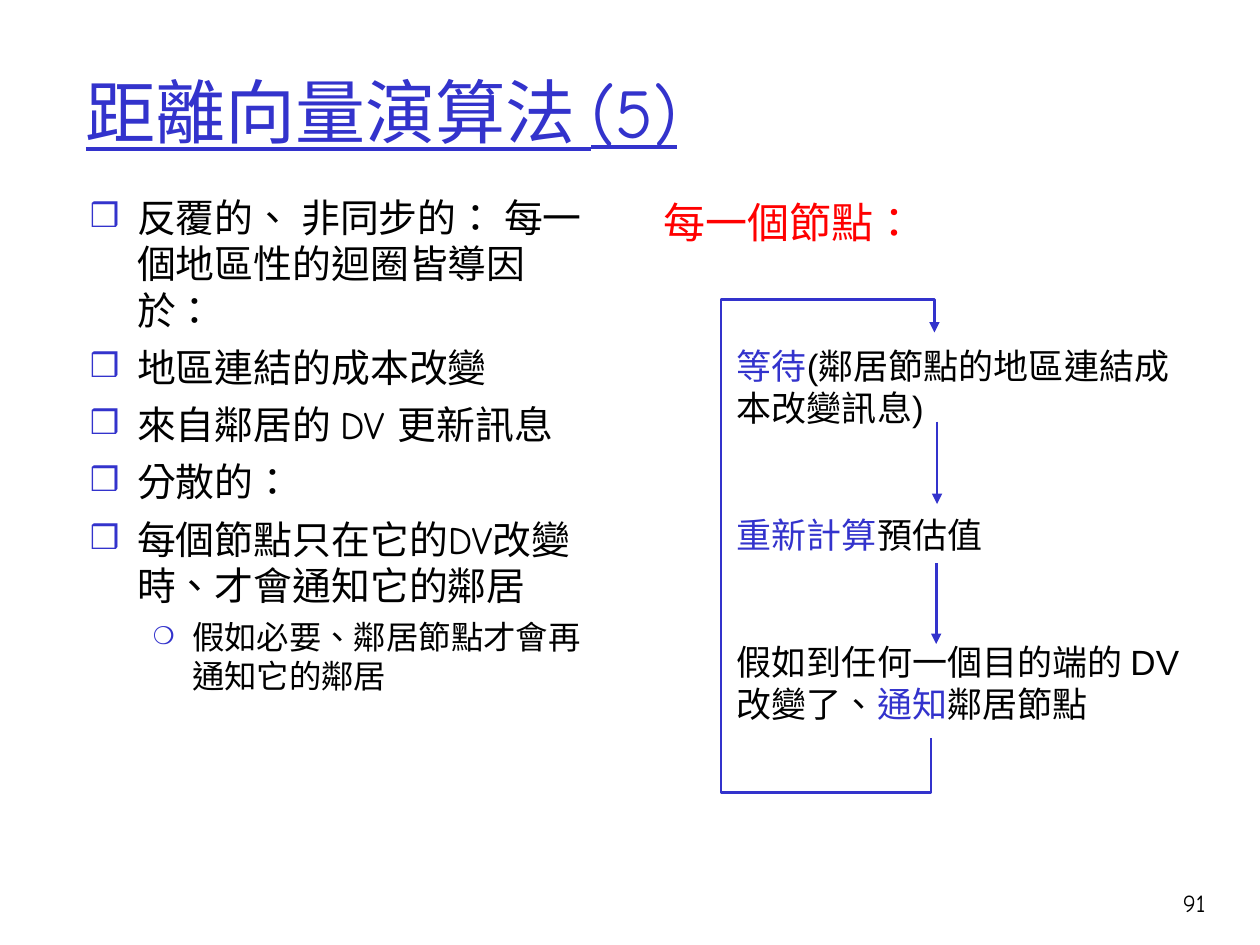
from lxml import etree
from pptx import Presentation
from pptx.dml.color import RGBColor
from pptx.enum.lang import MSO_LANGUAGE_ID
from pptx.enum.shapes import MSO_CONNECTOR
from pptx.enum.text import MSO_ANCHOR, PP_ALIGN
from pptx.oxml.ns import qn
from pptx.util import Pt

BLUE = RGBColor(0x33, 0x33, 0xCC)
BLACK = RGBColor(0, 0, 0)
RED = RGBColor(0xFF, 0, 0)
COMIC = "Comic Neue"


def add_text(left, top, width, height, anchor=MSO_ANCHOR.TOP):
    tf = s.shapes.add_textbox(Pt(left), Pt(top), Pt(width), Pt(height)).text_frame
    tf.word_wrap = True
    tf.vertical_anchor = anchor
    return tf


def add_run(p, text, size, color, font=COMIC):
    r = p.add_run()
    r.text = text
    r.font.size = Pt(size)
    r.font.name = font
    r.font.color.rgb = color
    r.font.language_id = MSO_LANGUAGE_ID.TRADITIONAL_CHINESE
    return r


prs = Presentation()
prs.slide_width, prs.slide_height = Pt(720), Pt(540)
s = prs.slides.add_slide(prs.slide_layouts[6])

# Title
tf = add_text(42, 18, 612, 90, MSO_ANCHOR.MIDDLE)
add_run(tf.paragraphs[0], "距離向量演算法 (5)", 40, BLUE).font.underline = True

# Bulleted list: level, text
items = [
    (0, "反覆的、 非同步的： 每一個地區性的迴圈皆導因於："),
    (0, "地區連結的成本改變"),
    (0, "來自鄰居的 DV 更新訊息"),
    (0, "分散的："),
    (0, "每個節點只在它的DV改變時、才會通知它的鄰居"),
    (1, "假如必要、鄰居節點才會再通知它的鄰居"),
]
# Per level: text size, space before, indent, hanging, bullet, bullet size
levels = [(22.2, 6, 27, 27, "❒", 85), (18.5, 5, 58.5, 22.5, "❍", 75)]
tf = add_text(44.25, 107, 298, 366)
for i, (level, text) in enumerate(items):
    size, before, indent, hanging, bullet, percent = levels[level]
    p = tf.add_paragraph() if i else tf.paragraphs[0]
    p.level = level
    pPr = p._p.get_or_add_pPr()
    pPr.set("marL", str(Pt(indent)))
    pPr.set("indent", str(-Pt(hanging)))
    pPr.set("hangingPunct", "0")
    color = etree.SubElement(pPr, qn("a:buClr"))
    etree.SubElement(color, qn("a:srgbClr"), val=str(BLUE))
    etree.SubElement(pPr, qn("a:buSzPct"), val=str(percent * 1000))
    etree.SubElement(pPr, qn("a:buFont"), typeface=COMIC)
    etree.SubElement(pPr, qn("a:buChar"), char=bullet)
    if i:
        p.space_before = Pt(before)
    add_run(p, text, size, BLACK)

# Steps of the loop at each node
steps = [
    [("等待", BLUE), ("(鄰居節點的地區連結成本改變訊息)", BLACK)],
    [("重新計算", BLUE), ("預估值", BLACK)],
    [("假如到任何一個目的端的 DV 改變了、", BLACK), ("通知", BLUE), ("鄰居節點", BLACK)],
]
tf = add_text(414, 193.5, 277, 260)
for i, step in enumerate(steps):
    p = tf.add_paragraph() if i else tf.paragraphs[0]
    if i:
        p.space_before = Pt(48.5)
    for text, color in step:
        add_run(p, text, 20, color, "Arial")

# Arrows between steps, and the path back to the first one
arrows = []
for x, top, bottom in [(535.5, 241, 288), (535, 322, 368)]:
    arrows.append(s.shapes.add_connector(
        MSO_CONNECTOR.STRAIGHT, Pt(x), Pt(top), Pt(x), Pt(bottom)))
builder = s.shapes.build_freeform(Pt(532), Pt(422))
builder.add_line_segments(
    [(Pt(x), Pt(y)) for x, y in
     [(532, 453), (412, 453), (412, 171), (534, 171), (534, 190)]],
    close=False)
loop = builder.convert_to_shape()
loop.fill.background()
loop.shadow.inherit = False
for arrow in arrows:
    etree.SubElement(arrow._element.spPr, qn("a:effectLst"))
for sp in arrows + [loop]:
    sp.line.color.rgb = BLUE
    sp.line.width = Pt(1.5)
    etree.SubElement(sp.line._get_or_add_ln(), qn("a:tailEnd"), type="triangle")

# Heading over the loop
tf = add_text(372, 109, 170, 36)
add_run(tf.paragraphs[0], "每一個節點：", 24, RED)

# Slide number
tf = add_text(643, 504, 53, 36)
tf.paragraphs[0].alignment = PP_ALIGN.RIGHT
add_run(tf.paragraphs[0], "91", 14, BLACK)

prs.save("out.pptx")
